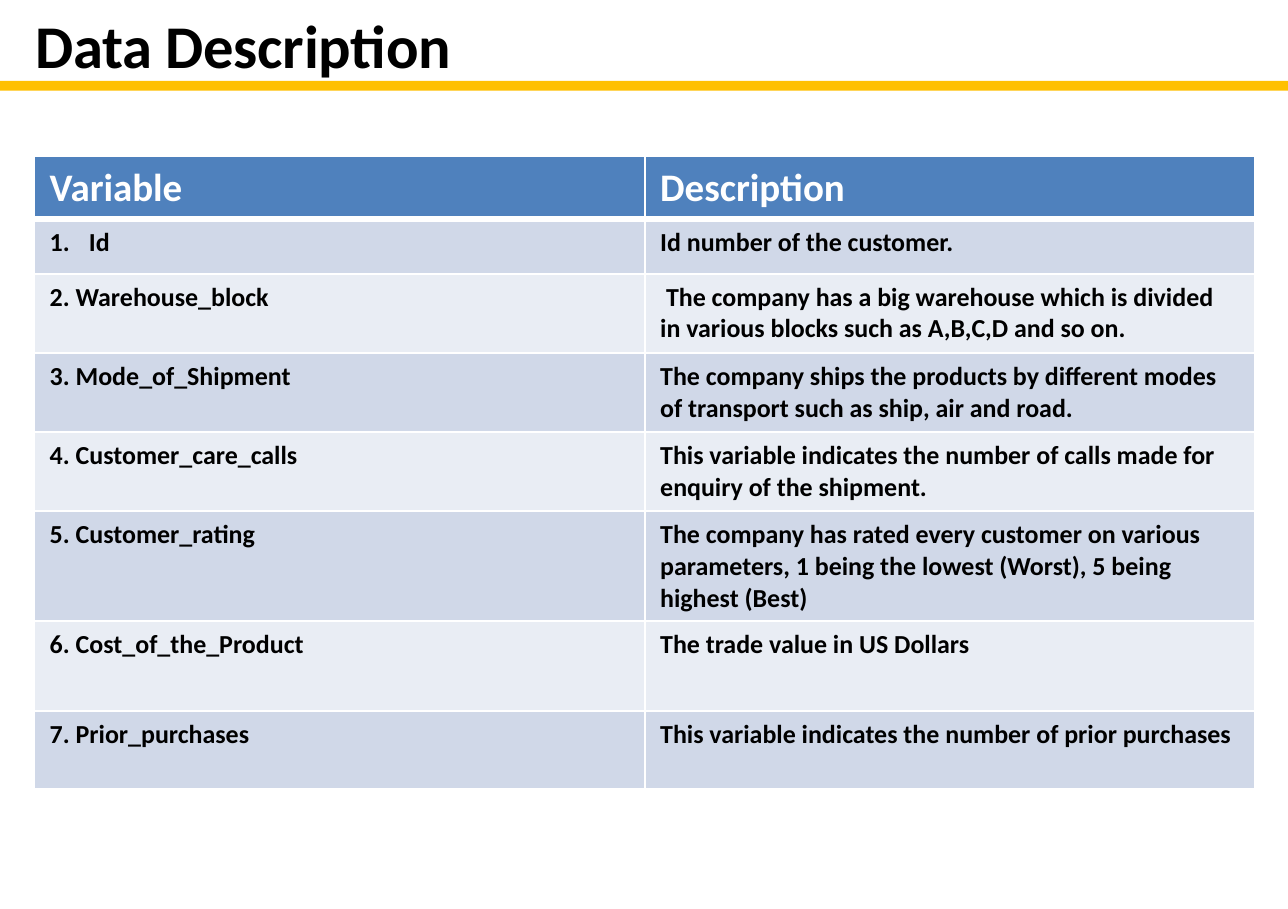
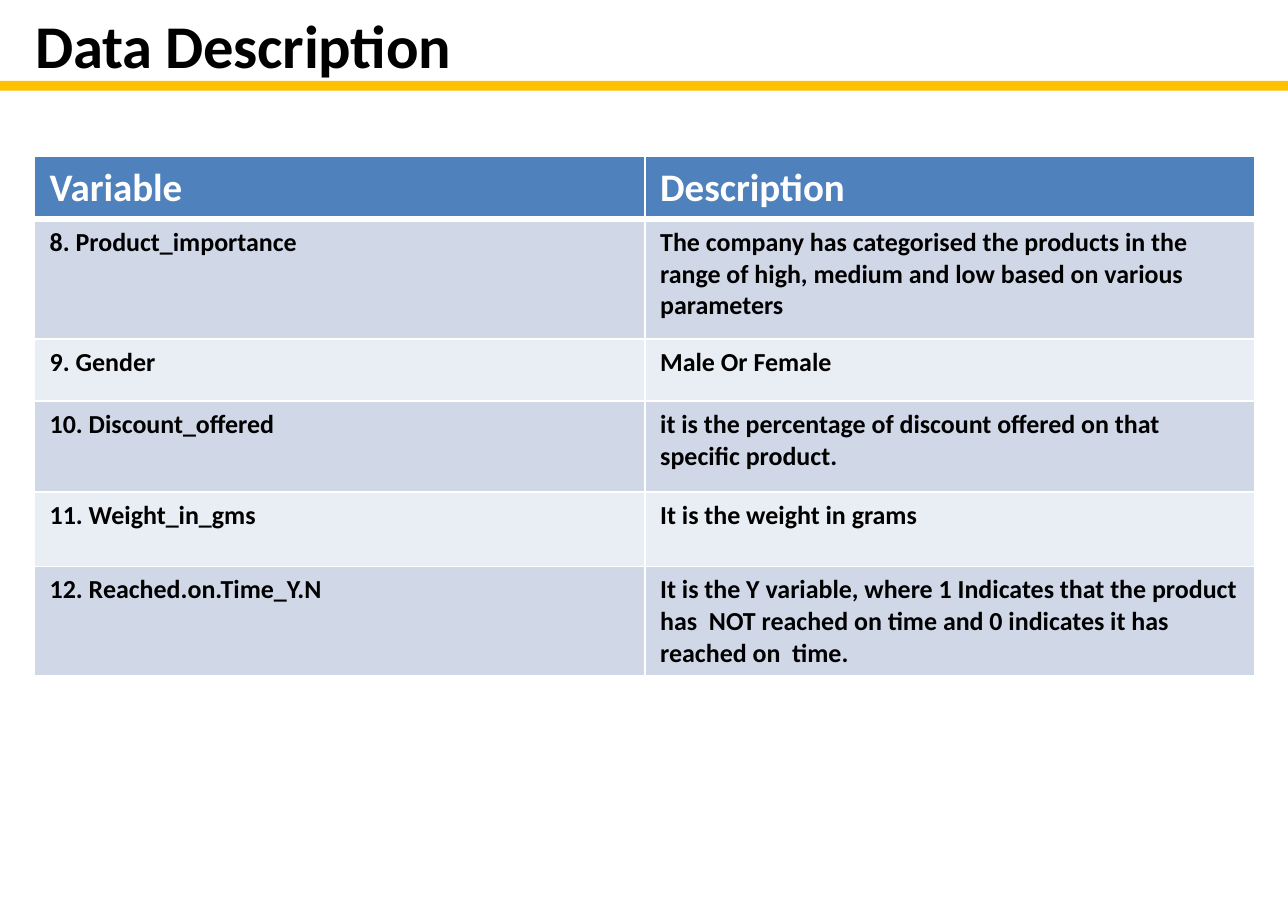
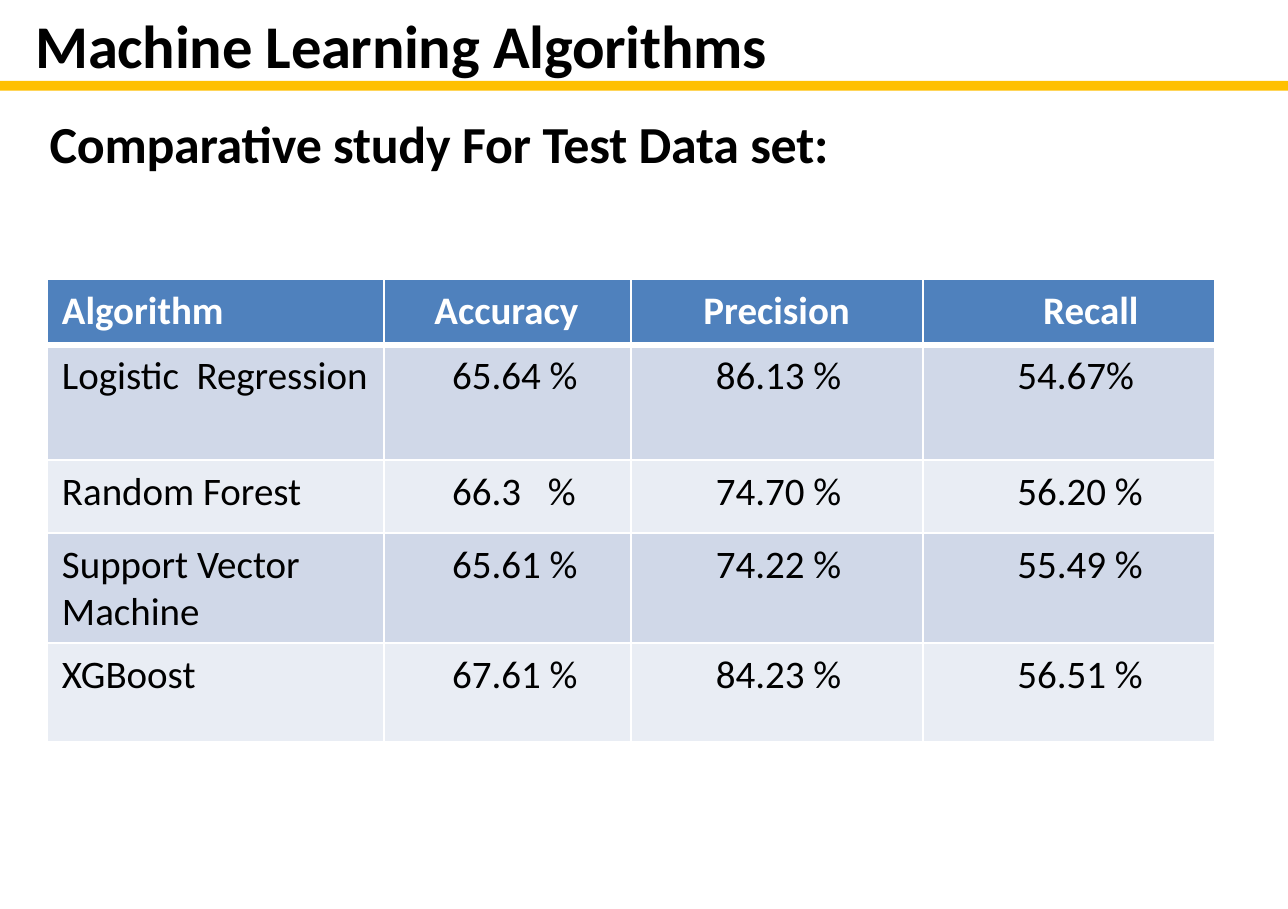
import pptx
import pptx.dml.color
import pptx.enum.shapes
import pptx.enum.text
import pptx.oxml
import pptx.oxml.ns
import pptx.util
from lxml import etree

Cm = pptx.util.Cm
Pt = pptx.util.Pt
qn = pptx.oxml.ns.qn
CENTER = pptx.enum.text.PP_ALIGN.CENTER


class Deck:
    """Holds the shared style and the slide being built."""

    COLORS = {
        "ink": "000000",
        "paper": "FFFFFF",
        "rule": "FFC000",
        "header": "4F81BD",
        "odd": "D0D8E8",
        "even": "E9EDF4",
    }
    FONT = "Calibri"
    CELL_MARGIN = 0.25

    def __init__(self, width, height):
        self.presentation = pptx.Presentation()
        self.presentation.slide_width = Cm(width)
        self.presentation.slide_height = Cm(height)
        self.slide = None

    def color(self, name):
        return pptx.dml.color.RGBColor.from_string(self.COLORS[name])

    def style(self, paragraph, size, bold, color="ink"):
        font = paragraph.font
        font.name, font.size, font.bold = self.FONT, Pt(size), bold
        font.color.rgb = self.color(color)

    def new_slide(self, title):
        self.slide = self.presentation.slides.add_slide(self.presentation.slide_layouts[6])
        rule = self.slide.shapes.add_shape(
            pptx.enum.shapes.MSO_SHAPE.RECTANGLE,
            0, Cm(1.32), self.presentation.slide_width, Cm(0.16))
        rule.shadow.inherit = False
        rule.fill.solid()
        rule.fill.fore_color.rgb = self.color("rule")
        rule.line.fill.background()
        self.heading(title, 0.33, 0, 14, 1.45, 28)

    def heading(self, text, left, top, width, height, size):
        box = self.slide.shapes.add_textbox(Cm(left), Cm(top), Cm(width), Cm(height))
        box.text_frame.word_wrap = True
        paragraph = box.text_frame.paragraphs[0]
        paragraph.text = text
        self.style(paragraph, size, True)
        paragraph._p.pPr.find(qn("a:defRPr")).set("spc", "-10")

    def borders(self, cell, top, bottom):
        properties = cell._tc.get_or_add_tcPr()
        for side, width in (("L", 1), ("R", 1), ("T", top), ("B", bottom)):
            line = etree.SubElement(properties, qn(f"a:ln{side}"), w=str(Pt(width)))
            fill = etree.SubElement(line, qn("a:solidFill"))
            etree.SubElement(fill, qn("a:srgbClr"), val=self.COLORS["paper"])

    def cell(self, cell, text, row, size, bold, indent=0, align=None):
        is_header = row == 0
        self.borders(cell, 3 if row == 1 else 1, 3 if is_header else 1)
        cell.fill.solid()
        cell.fill.fore_color.rgb = self.color(
            "header" if is_header else "odd" if row % 2 else "even")
        cell.margin_left = Cm(self.CELL_MARGIN + indent)
        paragraph = cell.text_frame.paragraphs[0]
        paragraph.text = text
        paragraph.alignment = align
        self.style(paragraph, 18 if is_header else size, is_header or bold,
                   "paper" if is_header else "ink")

    def table(self, left, top, widths, heights, rows, size=12, bold=True,
              header_indents=None, body_indents=None, header_aligns=None):
        no_indents = [0] * len(widths)
        table = self.slide.shapes.add_table(
            len(rows), len(widths), Cm(left), Cm(top),
            Cm(sum(widths)), Cm(sum(heights))).table
        table.horz_banding = False
        for column, width in zip(table.columns, widths):
            column.width = Cm(width)
        for row, (texts, height) in enumerate(zip(rows, heights)):
            table.rows[row].height = Cm(height)
            indents = (body_indents if row else header_indents) or no_indents
            aligns = (None if row else header_aligns) or [None] * len(widths)
            for column, text in enumerate(texts):
                self.cell(table.cell(row, column), text, row, size, bold,
                          indents[column], aligns[column])
        return table

    def variables(self, heights, rows):
        return self.table(0.56, 2.55, [9.95, 9.95], heights,
                          [("Variable", "Description")] + rows)

    def auto_number(self, cell):
        properties = cell.text_frame.paragraphs[0]._p.get_or_add_pPr()
        properties.set("marL", str(Cm(0.64)))
        properties.set("indent", str(-Cm(0.64)))
        number = etree.Element(qn("a:buAutoNum"), type="arabicPeriod")
        properties.find(qn("a:defRPr")).addprevious(number)

    def tab_stop(self, cell, position):
        properties = cell.text_frame.paragraphs[0]._p.get_or_add_pPr()
        stops = etree.Element(qn("a:tabLst"))
        etree.SubElement(stops, qn("a:tab"), pos=str(Cm(position)), algn="l")
        properties.find(qn("a:defRPr")).addprevious(stops)


def main():
    deck = Deck(20.99, 14.81)

    deck.new_slide("Data Description")
    first_variables = deck.variables(
        [1.02, 0.89, 1.29, 1.29, 1.29, 1.79, 1.47, 1.26],
        [
            ("Id", "Id number of the customer."),
            ("2. Warehouse_block",
             " The company has a big warehouse which is divided in various blocks "
             "such as A,B,C,D and so on."),
            ("3. Mode_of_Shipment",
             "The company ships the products by different modes of transport "
             "such as ship, air and road."),
            ("4. Customer_care_calls",
             "This variable indicates the number of calls made for enquiry of the shipment."),
            ("5. Customer_rating",
             "The company has rated every customer on various parameters, "
             "1 being the lowest (Worst), 5 being highest (Best)"),
            ("6. Cost_of_the_Product", "The trade value in US Dollars"),
            ("7. Prior_purchases", "This variable indicates the number of prior purchases"),
        ])
    deck.auto_number(first_variables.cell(1, 0))

    deck.new_slide("Data Description")
    deck.variables(
        [1.02, 1.95, 1.02, 1.47, 1.22, 1.78],
        [
            ("8. Product_importance",
             "The company has categorised the products in the range of high, "
             "medium and low based on various parameters"),
            ("9. Gender", "Male Or Female"),
            ("10. Discount_offered",
             "it is the percentage of discount offered on that specific product."),
            ("11. Weight_in_gms", "It is the weight in grams"),
            ("12. Reached.on.Time_Y.N",
             "It is the Y variable, where 1 Indicates that the product has  NOT reached "
             "on time and 0 indicates it has reached on  time."),
        ])

    deck.new_slide("Machine Learning Algorithms")
    deck.heading("Comparative study For Test Data set:", 0.56, 1.7, 14, 1.27, 24)
    scores = deck.table(
        0.76, 4.55, [5.5, 4.02, 4.76, 4.76], [1.07, 1.88, 1.19, 1.79, 1.6],
        [
            ("Algorithm", "Accuracy", "Precision", "Recall"),
            ("Logistic  Regression", "65.64 %", "86.13 %", "54.67%"),
            ("Random Forest", "66.3\t%", "74.70 %", "56.20 %"),
            ("Support Vector Machine", "65.61 %", "74.22 %", "55.49 %"),
            ("XGBoost", "67.61 %", "84.23 %", "56.51 %"),
        ],
        size=18, bold=False,
        header_indents=[0, 0.57, 0, 0.72],
        body_indents=[0, 0.86, 1.14, 1.29],
        header_aligns=[None, None, CENTER, CENTER])
    deck.tab_stop(scores.cell(2, 1), 1.56)

    deck.presentation.save("out.pptx")


if __name__ == "__main__":
    main()
